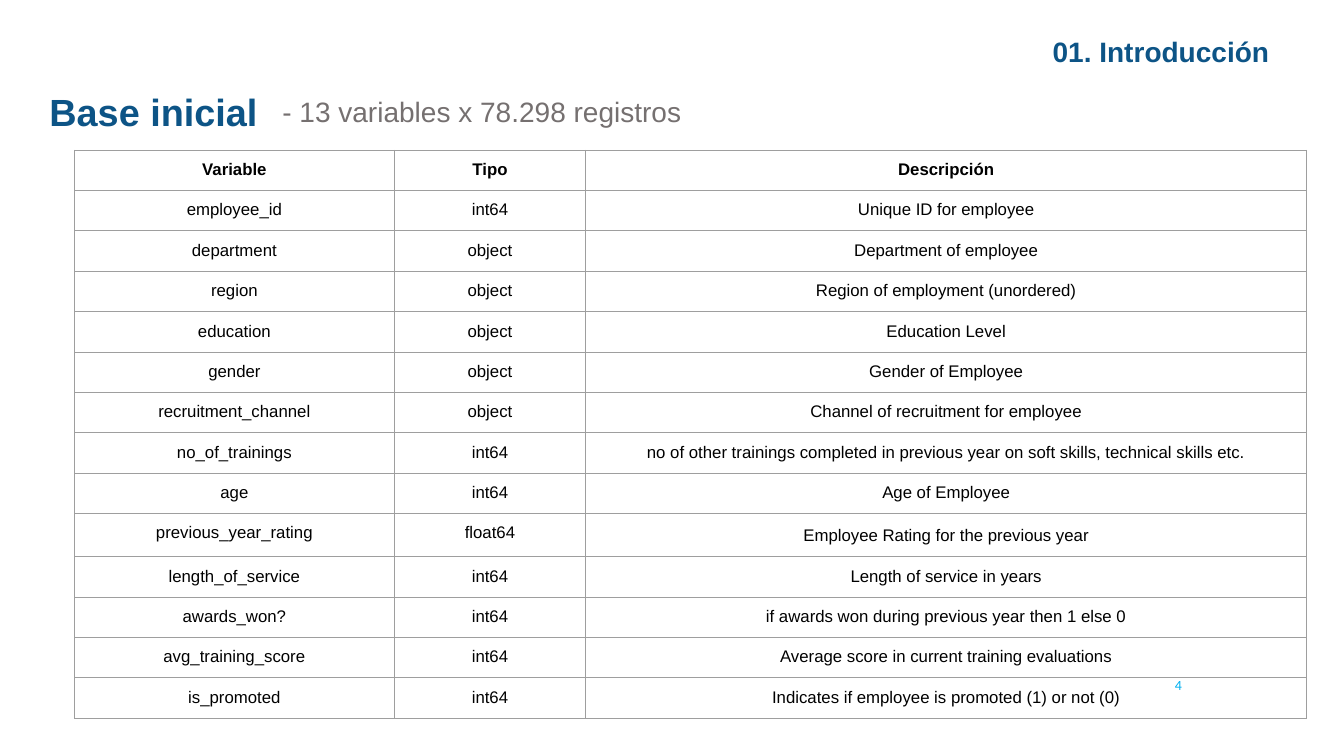
from lxml import etree
from pptx import Presentation
from pptx.dml.color import RGBColor
from pptx.enum.text import MSO_ANCHOR, PP_ALIGN
from pptx.oxml.ns import qn
from pptx.util import Inches, Pt

LEFT, CENTER, RIGHT = PP_ALIGN.LEFT, PP_ALIGN.CENTER, PP_ALIGN.RIGHT
TOP, MIDDLE = MSO_ANCHOR.TOP, MSO_ANCHOR.MIDDLE
COLORS = {"heading": "0D5486", "subtitle": "757070", "number": "00B0F0",
          "text": "000000", "border": "9E9E9E"}
COLUMN_WIDTHS = [3.17, 1.9, 7.15]
ROW_HEIGHT = 0.35
VARIABLES = [
    ("Variable", "Tipo", "Descripción"),
    ("employee_id", "int64", "Unique ID for employee"),
    ("department", "object", "Department of employee"),
    ("region", "object", "Region of employment (unordered)"),
    ("education", "object", "Education Level"),
    ("gender", "object", "Gender of Employee"),
    ("recruitment_channel", "object", "Channel of recruitment for employee"),
    ("no_of_trainings", "int64",
     "no of other trainings completed in previous year on soft skills, technical skills etc."),
    ("age", "int64", "Age of Employee"),
    ("previous_year_rating", "float64", "Employee Rating for the previous year"),
    ("length_of_service", "int64", "Length of service in years"),
    ("awards_won?", "int64", "if awards won during previous year then 1 else 0"),
    ("avg_training_score", "int64", "Average score in current training evaluations"),
    ("is_promoted", "int64", "Indicates if employee is promoted (1) or not (0)"),
]


def style_paragraph(paragraph, size, color, bold=False, align=LEFT, font="Arial"):
    """Set the font and alignment of one paragraph."""
    paragraph.alignment = align
    paragraph.font.name = font
    paragraph.font.size = Pt(size)
    paragraph.font.bold = bold
    paragraph.font.color.rgb = RGBColor.from_string(COLORS[color])


def add_label(slide, box, text, size, color, inset=0.12, anchor=TOP, **style):
    """Place one line of text in a box of left, top, width and height."""
    frame = slide.shapes.add_textbox(*map(Inches, box)).text_frame
    frame.word_wrap = True
    frame.vertical_anchor = anchor
    frame.margin_left = frame.margin_right = Inches(inset)
    frame.text = text
    style_paragraph(frame.paragraphs[0], size, color, **style)


def add_heading(slide, left, top):
    """Place the slide title and the size of the data set beside it."""
    add_label(slide, (left, top, 3.99, 0.56), "Base inicial", 27, "heading", bold=True)
    add_label(slide, (left + 2.31, top + 0.06, 4.89, 0.44),
              "- 13 variables x 78.298 registros", 20, "subtitle")


def add_borders(cell):
    """Draw a thin line on the four sides of a cell."""
    properties = cell._tc.get_or_add_tcPr()
    for side in ("lnL", "lnR", "lnT", "lnB"):
        line = etree.SubElement(properties, qn(f"a:{side}"), w=str(Pt(0.75)))
        fill = etree.SubElement(line, qn("a:solidFill"))
        etree.SubElement(fill, qn("a:srgbClr"), val=COLORS["border"])


def add_variables_table(slide, left, top):
    """Place the table of variables, types and descriptions."""
    table = slide.shapes.add_table(
        len(VARIABLES), len(COLUMN_WIDTHS), Inches(left), Inches(top),
        Inches(sum(COLUMN_WIDTHS)), Inches(ROW_HEIGHT * len(VARIABLES))).table
    table.first_row = True
    table.horz_banding = False
    for column, width in zip(table.columns, COLUMN_WIDTHS):
        column.width = Inches(width)
    for row_index, variable in enumerate(VARIABLES):
        table.rows[row_index].height = Inches(ROW_HEIGHT)
        for column_index, text in enumerate(variable):
            cell = table.cell(row_index, column_index)
            cell.text = text
            cell.margin_left = cell.margin_right = Inches(0.1)
            cell.margin_top = cell.margin_bottom = Inches(0.1)
            style_paragraph(cell.text_frame.paragraphs[0], 12, "text",
                            bold=row_index == 0, align=CENTER)
            if text.startswith("Employee Rating"):
                cell.text_frame.paragraphs[0].line_spacing = 1.15
            add_borders(cell)
            cell.fill.background()


def main():
    """Build the slide and save it."""
    presentation = Presentation()
    presentation.slide_width = Inches(13.33)
    presentation.slide_height = Inches(7.5)
    slide = presentation.slides.add_slide(presentation.slide_layouts[6])
    add_label(slide, (8.82, 6.6, 3, 0.4), "4", 10, "number", inset=0.1,
              anchor=MIDDLE, align=RIGHT, font="Calibri")
    add_label(slide, (10.32, 0.29, 3.31, 0.44), "01. Introducción", 20, "heading", bold=True)
    add_heading(slide, 0.37, 0.83)
    add_variables_table(slide, 0.74, 1.49)
    presentation.save("out.pptx")


if __name__ == "__main__":
    main()
